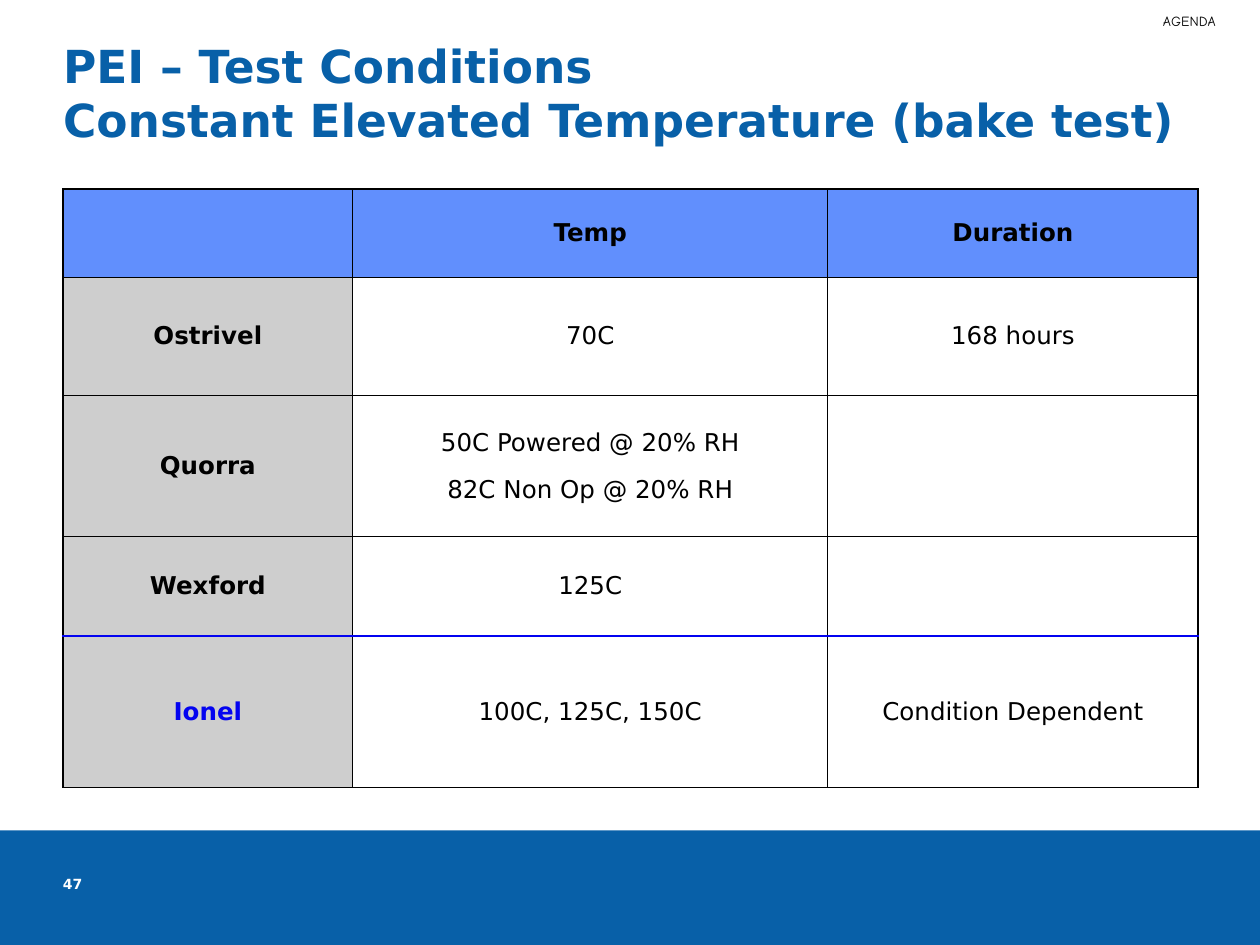
from lxml.etree import SubElement
from pptx import Presentation
from pptx.dml.color import RGBColor
from pptx.enum.shapes import MSO_SHAPE
from pptx.enum.text import MSO_ANCHOR, MSO_AUTO_SIZE, PP_ALIGN
from pptx.oxml.ns import qn
from pptx.util import Inches, Pt

BLUE = RGBColor(0x08, 0x60, 0xA8)
HEADER = RGBColor(0x61, 0x8F, 0xFD)
GRAY = RGBColor(0xCE, 0xCE, 0xCE)
ACCENT = RGBColor(0x03, 0x03, 0xF0)
BLACK = RGBColor(0, 0, 0)
WHITE = RGBColor(0xFF, 0xFF, 0xFF)

SANS = "DejaVu Sans"
COL_WIDTHS = [2.3, 3.77, 2.94]
ROW_HEIGHTS = [0.7, 0.94, 1.12, 0.79, 1.2]
ROWS = [
    ["", "Temp", "Duration"],
    ["Ostrivel", "70C", "168 hours"],
    ["Quorra", "50C Powered @ 20% RH\n82C Non Op @ 20% RH", ""],
    ["Wexford", "125C", ""],
    ["Ionel", "100C, 125C, 150C", "Condition Dependent"],
]
LAST_ROW, LAST_COL = len(ROWS) - 1, len(COL_WIDTHS) - 1
THIN, OUTER, DIVIDER = (BLACK, 0.45), (BLACK, 1.08), (ACCENT, 1.47)


def set_font(p, size, color, bold=False, name=SANS):
    font = p.font
    font.name, font.size, font.bold = name, Pt(size), bold
    font.color.rgb = color


def set_margins(tf, x=0, y=0):
    tf.margin_left = tf.margin_right = Inches(x)
    tf.margin_top = tf.margin_bottom = Inches(y)


def add_title(slide, text):
    title = slide.shapes.title
    title.left, title.top = Inches(0.5), Inches(0.3)
    title.width, title.height = Inches(9.01), Inches(0.97)
    tf = title.text_frame
    tf.text = text
    tf.auto_size = MSO_AUTO_SIZE.NONE
    tf.vertical_anchor = MSO_ANCHOR.TOP
    set_margins(tf)
    p = tf.paragraphs[0]
    p.alignment = PP_ALIGN.LEFT
    p.line_spacing = 1.0
    set_font(p, 26, BLUE, bold=True)


def add_footer_band(slide):
    band = slide.shapes.add_shape(MSO_SHAPE.RECTANGLE, 0, Inches(6.59), Inches(10), Inches(0.91))
    band.shadow.inherit = False
    band.fill.solid()
    band.fill.fore_color.rgb = BLUE
    band.line.fill.background()


def add_label(slide, text, box, margins=(0, 0)):
    tf = slide.shapes.add_textbox(*map(Inches, box)).text_frame
    tf.word_wrap = True
    set_margins(tf, *margins)
    tf.text = text
    return tf.paragraphs[0]


def cell_borders(row, col):
    """Return the (colour, width) of each side, keyed by its XML tag."""
    top = {0: OUTER, LAST_ROW: DIVIDER}.get(row, THIN)
    bottom = {LAST_ROW - 1: DIVIDER, LAST_ROW: OUTER}.get(row, THIN)
    return {
        "a:lnL": OUTER if col == 0 else THIN,
        "a:lnR": OUTER if col == LAST_COL else THIN,
        "a:lnT": top,
        "a:lnB": bottom,
    }


def draw_borders(cell, borders):
    tc_pr = cell._tc.get_or_add_tcPr()
    for tag, (color, width) in borders.items():
        ln = SubElement(tc_pr, qn(tag), w=str(Pt(width)))
        fill = SubElement(ln, qn("a:solidFill"))
        SubElement(fill, qn("a:srgbClr"), val=str(color))


def format_cell(cell, row, col):
    draw_borders(cell, cell_borders(row, col))
    cell.fill.solid()
    cell.fill.fore_color.rgb = HEADER if row == 0 else GRAY if col == 0 else WHITE
    cell.vertical_anchor = MSO_ANCHOR.MIDDLE
    color = ACCENT if (row, col) == (LAST_ROW, 0) else BLACK
    for i, p in enumerate(cell.text_frame.paragraphs):
        p.alignment = PP_ALIGN.CENTER
        if i:
            p.space_before = Pt(10.5)
        set_font(p, 14, color, bold=row == 0 or col == 0)


def add_conditions_table(slide):
    table = slide.shapes.add_table(
        len(ROWS), len(COL_WIDTHS), Inches(0.5), Inches(1.5),
        Inches(sum(COL_WIDTHS)), Inches(sum(ROW_HEIGHTS))).table
    table.horz_banding = False
    for column, width in zip(table.columns, COL_WIDTHS):
        column.width = Inches(width)
    for row, height in zip(table.rows, ROW_HEIGHTS):
        row.height = Inches(height)
    for r, texts in enumerate(ROWS):
        for c, text in enumerate(texts):
            cell = table.cell(r, c)
            cell.text = text
            format_cell(cell, r, c)


def main():
    prs = Presentation()
    prs.slide_width, prs.slide_height = Inches(10), Inches(7.5)
    slide = prs.slides.add_slide(prs.slide_layouts[5])

    add_footer_band(slide)
    agenda = add_label(slide, "AGENDA", (9.03, 0.05, 0.82, 0.24), (0.1, 0.05))
    agenda.alignment = PP_ALIGN.CENTER
    set_font(agenda, 8, BLACK, name="Comic Neue")
    add_title(slide, "PEI – Test Conditions\vConstant Elevated Temperature (bake test)")
    add_conditions_table(slide)
    number = add_label(slide, "47", (0.5, 6.95, 0.46, 0.33))
    set_font(number, 8, WHITE, bold=True)

    prs.save("out.pptx")


if __name__ == "__main__":
    main()
